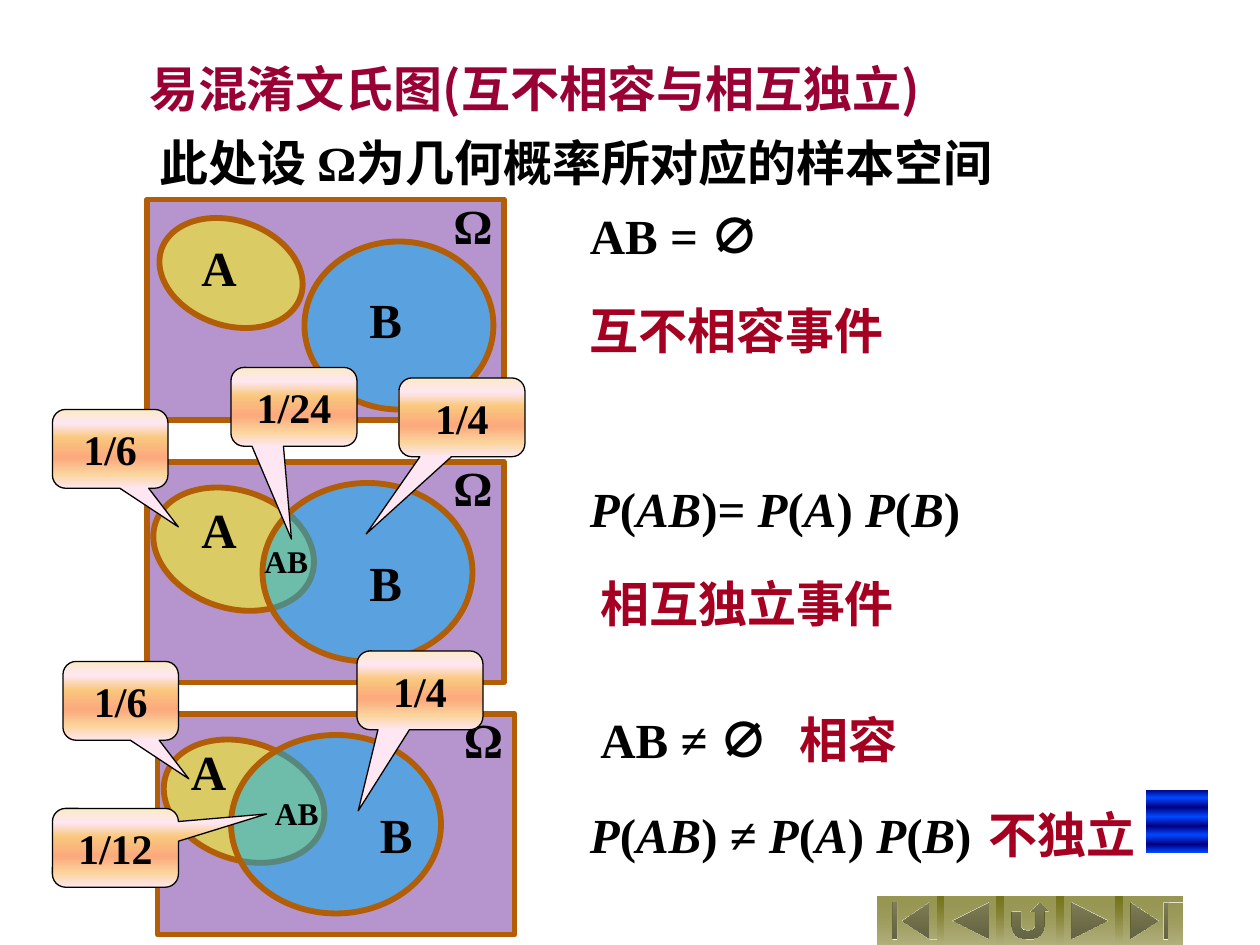
import pptx
import pptx.util
import pptx.dml.color
import pptx.enum.shapes
import pptx.enum.text
import pptx.oxml.ns
from lxml import etree

KIND = pptx.enum.shapes.MSO_SHAPE
ALIGN = pptx.enum.text.PP_ALIGN
MID = pptx.enum.text.MSO_ANCHOR.MIDDLE
TOP = pptx.enum.text.MSO_ANCHOR.TOP
qn = pptx.oxml.ns.qn

HUES = {"title": "990033", "ink": "000000", "note": "A50021", "edge": "B25E07",
        "space": "7030A0", "a": "FFFF00", "b": "00B0F0"}
# Gradient stops: place, colour, opacity (percent)
PEACH = [(0, "FBEAC7", 100), (18, "FEE7F2", 100), (36, "FAC77D", 100),
         (61, "FBA97D", 100), (82, "FBD49C", 100), (100, "FEE7F2", 100)]
OLIVE = [(0, "666400", 67), (100, "B1B07D", 100)]
WAVES = [(at, "0047FF" if n % 2 else "000082", 100)
         for n, at in enumerate([0, 13, 28, 43, 58, 72, 87, 100])]
LATIN, CJK = "Times New Roman", "Noto Sans CJK SC"
COLS, ROWS = 120, 90


class Deck:
    """Holds the style, the slide and the grid of 120 columns by 90 rows."""

    def __init__(self):
        self.prs = pptx.Presentation()
        self.prs.slide_width = pptx.util.Inches(10)
        self.prs.slide_height = pptx.util.Inches(7.5)
        self.slide = self.prs.slides.add_slide(self.prs.slide_layouts[5])
        self.home = self.slide.shapes

    def box(self, x, y, w, h):
        col, row = self.prs.slide_width / COLS, self.prs.slide_height / ROWS
        return round(x * col), round(y * row), round(w * col), round(h * row)

    def group(self):
        self.home = self.slide.shapes.add_group_shape().shapes

    def leave(self):
        self.home = self.slide.shapes

    def alpha(self, node, share):
        if share < 100:
            etree.SubElement(node, qn("a:alpha"), val=str(share * 1000))

    def label(self, frame, parts, size, hue="ink", font=LATIN, math=False,
              align=ALIGN.LEFT, anchor=TOP):
        frame.word_wrap = True
        frame.vertical_anchor = anchor
        para = frame.paragraphs[0]
        para.alignment = align
        for part in parts:
            run = para.add_run()
            run.text = part
            run.font.size = pptx.util.Pt(size)
            run.font.bold = True
            run.font.italic = math and part.isalpha()
            run.font.color.rgb = pptx.dml.color.RGBColor.from_string(HUES[hue])
            run.font.name = CJK if part == "∅" else font
            etree.SubElement(run.font._element, qn("a:ea"), typeface=CJK)

    def title(self, text, *place):
        shape = self.slide.shapes.title
        shape.left, shape.top, shape.width, shape.height = self.box(*place)
        self.label(shape.text_frame, [text], 28, "title", CJK)

    def text(self, parts, x, y, w, h=6.8, size=28, **style):
        shape = self.home.add_textbox(*self.box(x, y, w, h))
        self.label(shape.text_frame, parts, size, **style)

    def shape(self, kind, place, line=None, width=0):
        shape = self.home.add_shape(kind, *self.box(*place))
        shape.shadow.inherit = False
        if line:
            shape.line.color.rgb = pptx.dml.color.RGBColor.from_string(HUES[line])
            shape.line.width = pptx.util.Pt(width)
        else:
            shape.line.fill.background()
        return shape

    def tint(self, kind, place, hue, share, turn=0):
        shape = self.shape(kind, place, "edge", 3.35)
        shape.rotation = turn
        shape.fill.solid()
        shape.fill.fore_color.rgb = pptx.dml.color.RGBColor.from_string(HUES[hue])
        self.alpha(shape._element.spPr.find(".//" + qn("a:srgbClr")), share)

    def blend(self, kind, place, stops, **edge):
        shape = self.shape(kind, place, **edge)
        shape.fill.gradient()
        shape.fill.gradient_angle = 270
        tray = shape._element.spPr.find(".//" + qn("a:gsLst"))
        for old in list(tray):
            tray.remove(old)
        for at, hue, share in stops:
            stop = etree.SubElement(tray, qn("a:gs"), pos=str(at * 1000))
            self.alpha(etree.SubElement(stop, qn("a:srgbClr"), val=hue), share)
        return shape

    def call(self, text, x, y, w, tip):
        shape = self.blend(KIND.ROUNDED_RECTANGULAR_CALLOUT, (x, y, w, 7.5),
                           PEACH, line="ink", width=0.75)
        shape.adjustments[0], shape.adjustments[1] = tip
        self.label(shape.text_frame, [text], 24, align=ALIGN.CENTER, anchor=MID)

    def venn(self, x, y, a, b, name=(4, 3), both=True):
        """Sets a and b, and the name of A, are placed from the corner x, y."""
        def move(dx, dy, *size):
            return (x + dx, y + dy, *size)
        self.group()
        self.tint(KIND.RECTANGLE, (x, y, 34, 21), "space", 51)
        self.tint(KIND.OVAL, move(*a), "a", 51, 18.7)
        self.tint(KIND.OVAL, move(*b), "b", 50)
        for mark, spot in (("A", name), ("B", (20, 8)), ("Ω", (28, -1))):
            self.text([mark], *move(*spot, 7))
        if both:
            self.text(["AB"], *move(10, 7, 9, 4.8), size=18)
        self.leave()


def product(sign):
    return ["P", "(", "AB", sign, "P", "(", "A", ") ", "P", "(", "B", ")"]


def main():
    deck = Deck()

    # Heading
    deck.title("易混淆文氏图(互不相容与相互独立)", 13, 5, 95, 6.8)
    deck.text(["此处设 Ω为几何概率所对应的样本空间"], 14, 12, 103)

    # Exclusive events
    deck.venn(14, 19, (1, 2, 14, 10), (15, 4, 18, 16), both=False)
    deck.text(["AB = ", "∅"], 55, 19, 41)
    deck.text(["互不相容事件"], 55, 28, 41, hue="note")

    # Independent events
    left = (0.4, 2.7, 15.7, 11.2)
    deck.venn(14, 44, left, (11, 2, 20, 17))
    deck.call("1/6", 5, 39, 11, (0.59, 0.99))
    deck.call("1/24", 22, 35, 12, (-0.02, 1.68))
    deck.call("1/4", 38, 36, 12, (-0.76, 1.48))
    deck.text(product(")= "), 55, 45, 48, math=True)
    deck.text(["相互独立事件"], 56, 54, 48, hue="note")

    # Compatible but dependent events
    deck.venn(15, 68, left, (7, 2, 20, 17), name=(2, 2))
    deck.call("1/6", 6, 63, 11, (0.59, 0.99))
    deck.call("1/12", 5, 77, 12, (1.2, -0.43))
    deck.call("1/4", 34, 62, 12, (-0.49, 1.53))
    deck.text(["AB ≠ ", "∅"], 56, 67, 19)
    deck.text(product(") ≠ "), 55, 76, 40, math=True)
    deck.text(["相容"], 75, 67, 13, hue="note")
    deck.text(["不独立"], 93, 76, 18, hue="note")

    # Navigation buttons and end mark
    deck.group()
    keys = (KIND.ACTION_BUTTON_BEGINNING, KIND.ACTION_BUTTON_BACK_OR_PREVIOUS,
            KIND.ACTION_BUTTON_RETURN, KIND.ACTION_BUTTON_FORWARD_OR_NEXT,
            KIND.ACTION_BUTTON_END)
    for n, key in enumerate(keys):
        deck.blend(key, (83.6 + 5.67 * n, 85.4, 6.3, 4.6), OLIVE)
    deck.leave()
    deck.blend(KIND.RECTANGLE, (109.1, 75.2, 6, 6), WAVES)

    deck.prs.save("out.pptx")


if __name__ == "__main__":
    main()
